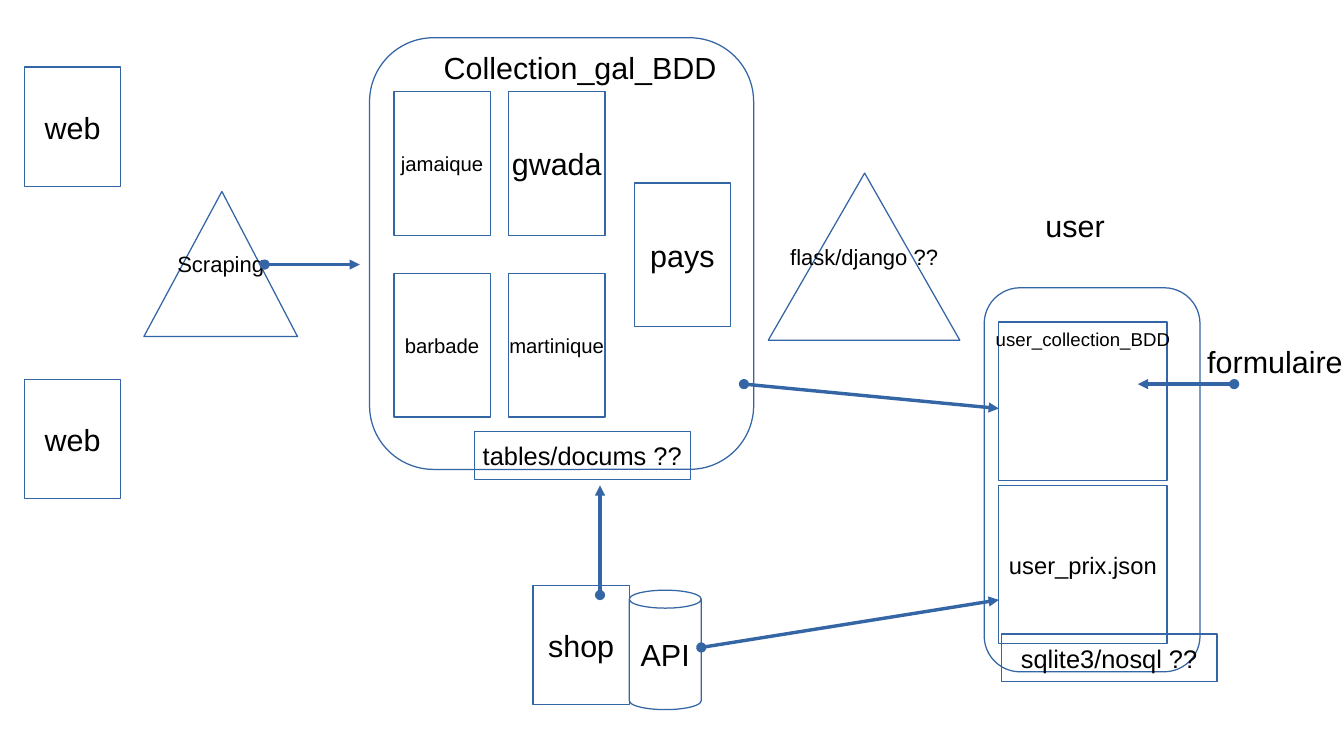
from dataclasses import dataclass
from lxml import etree
from pptx import Presentation
from pptx.dml.color import RGBColor
from pptx.enum.shapes import MSO_CONNECTOR, MSO_SHAPE
from pptx.enum.text import MSO_ANCHOR, PP_ALIGN
from pptx.oxml.ns import qn
from pptx.util import Inches, Pt


@dataclass(frozen=True)
class Theme:
    """Colours, font and type sizes of the diagram."""
    ink: RGBColor = RGBColor(0, 0, 0)
    edge: RGBColor = RGBColor(0x34, 0x65, 0xA4)
    font: str = "Arial"
    big: int = 18
    store: int = 15
    file: int = 14
    tool: int = 13
    small: int = 12
    tiny: int = 11


theme = Theme()


def write(shape, text, size, align=PP_ALIGN.CENTER, anchor=MSO_ANCHOR.MIDDLE, wrap=False):
    """Put one styled line of text in a shape."""
    frame = shape.text_frame
    frame.text = text
    frame.word_wrap = wrap
    frame.vertical_anchor = anchor
    line = frame.paragraphs[0]
    line.alignment = align
    font = line.runs[0].font
    font.name, font.size = theme.font, Pt(size)
    font.color.rgb = theme.ink


def outline(shape):
    """Leave a shape with only a hairline edge."""
    shape.shadow.inherit = False
    shape.fill.background()
    shape.line.color.rgb = theme.edge
    shape.line.width = 0


deck = Presentation()
deck.slide_width, deck.slide_height = Inches(11.02), Inches(6.2)
slide = deck.slides.add_slide(deck.slide_layouts[6])
shapes = slide.shapes

# Rounded frames around the two databases
for box in [(3.03, 0.31, 3.15, 3.54), (8.07, 2.36, 1.77, 3.15)]:
    frame = shapes.add_shape(MSO_SHAPE.ROUNDED_RECTANGLE, *map(Inches, box))
    frame.adjustments[0] = 1 / 6
    outline(frame)

# Labelled boxes, grouped by size
site, table, data, store = (0.79, 0.98), (0.79, 1.18), (1.38, 1.3), (1.77, 0.39)
boxes = [
    ("web", 0.2, 0.55, site, theme.big),
    ("web", 0.2, 3.11, site, theme.big),
    ("shop", 4.37, 4.8, site, theme.big),
    ("pays", 5.2, 1.5, table, theme.big),
    ("user_collection_BDD", 8.19, 2.64, data, theme.tiny),
    ("user_prix.json", 8.19, 3.98, data, theme.file),
    ("tables/docums\u00a0??", 3.89, 3.54, store, theme.store),
    ("sqlite3/nosql\u00a0??", 8.21, 5.2, store, theme.store),
]
isles = [("jamaique", theme.small), ("gwada", theme.big),
         ("barbade", theme.small), ("martinique", theme.small)]
for i, (name, size) in enumerate(isles):
    row, col = divmod(i, 2)
    boxes.append((name, 3.23 + 0.94 * col, 0.75 + 1.49 * row, table, size))
for name, x, y, (wide, high), size in boxes:
    box = shapes.add_shape(MSO_SHAPE.RECTANGLE, *map(Inches, (x, y, wide, high)))
    outline(box)
    top = name == "user_collection_BDD"
    write(box, name, size, anchor=MSO_ANCHOR.TOP if top else MSO_ANCHOR.MIDDLE)

can = shapes.add_shape(MSO_SHAPE.CAN, *map(Inches, (5.16, 4.84, 0.59, 0.98)))
can.adjustments[0] = 0.25
outline(can)
write(can, "API", theme.big)

# Triangles for the tools, with text centred on the whole height
tools = [("Scraping", (1.82, 1.57), (2.44, 2.76), (1.18, 2.76)),
         ("flask/django\u00a0??", (7.09, 1.42), (7.87, 2.79), (6.3, 2.79))]
for name, *points in tools:
    peak, *base = [(Inches(x), Inches(y)) for x, y in points]
    path = shapes.build_freeform(*peak)
    path.add_line_segments(base, close=True)
    tool = path.convert_to_shape()
    outline(tool)
    write(tool, name, theme.tool)

# Free labels
labels = [("user", (8.03, 1.65, 1.57, 0.51), PP_ALIGN.CENTER),
          ("formulaire", (9.8, 2.76, 1.38, 0.39), PP_ALIGN.LEFT),
          ("Collection_gal_BDD", (3.54, 0.35, 2.56, 0.39), PP_ALIGN.LEFT)]
for name, box, align in labels:
    label = shapes.add_textbox(*map(Inches, box))
    write(label, name, theme.big, align, MSO_ANCHOR.TOP, wrap=True)

# Flows run from a dot to an arrowhead
flows = [(2.17, 2.17, 2.95, 2.17), (4.92, 4.88, 4.92, 3.98), (5.75, 5.31, 8.19, 4.92),
         (6.1, 3.15, 8.19, 3.35), (10.12, 3.15, 9.33, 3.15)]
for ends in flows:
    flow = shapes.add_connector(MSO_CONNECTOR.STRAIGHT, *map(Inches, ends))
    flow.line.color.rgb = theme.edge
    flow.line.width = 0
    edge = flow.line._get_or_add_ln()
    for tag, kind in [("a:headEnd", "oval"), ("a:tailEnd", "triangle")]:
        etree.SubElement(edge, qn(tag), type=kind)
    etree.SubElement(flow._element.spPr, qn("a:effectLst"))

deck.save("out.pptx")
